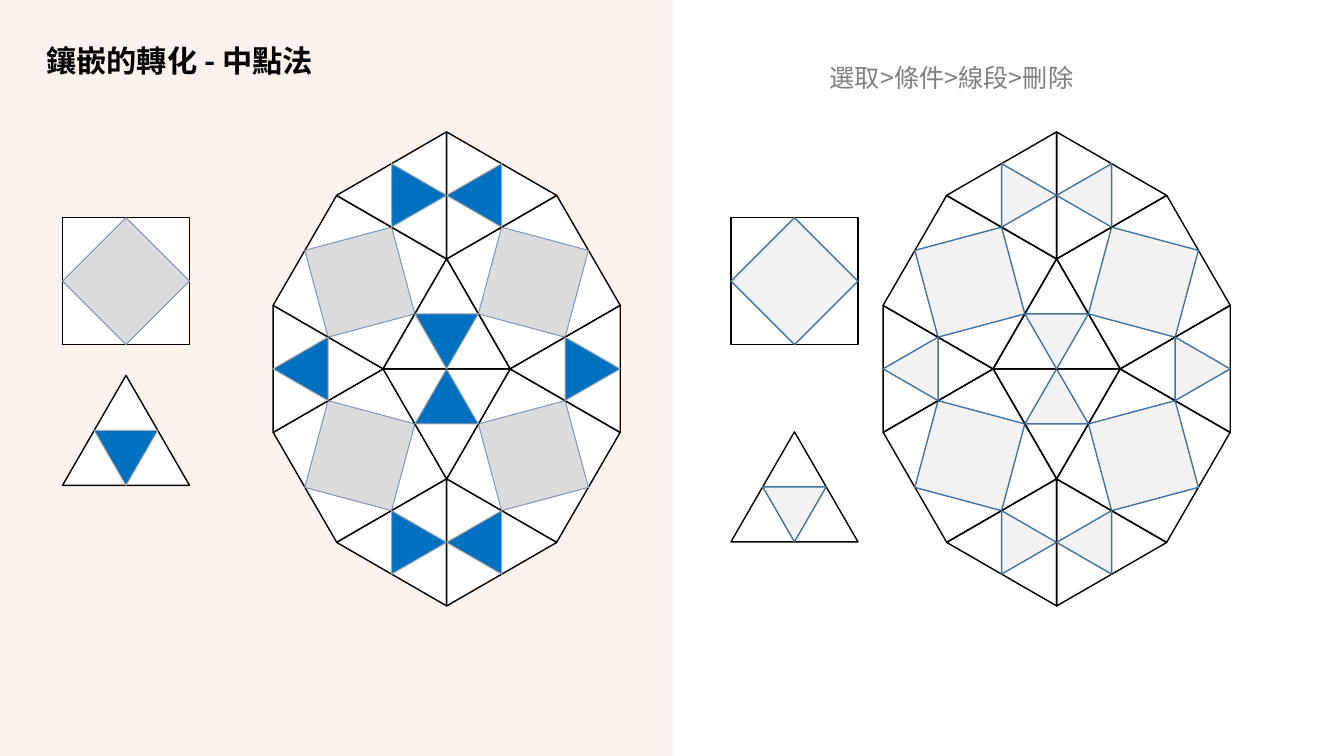
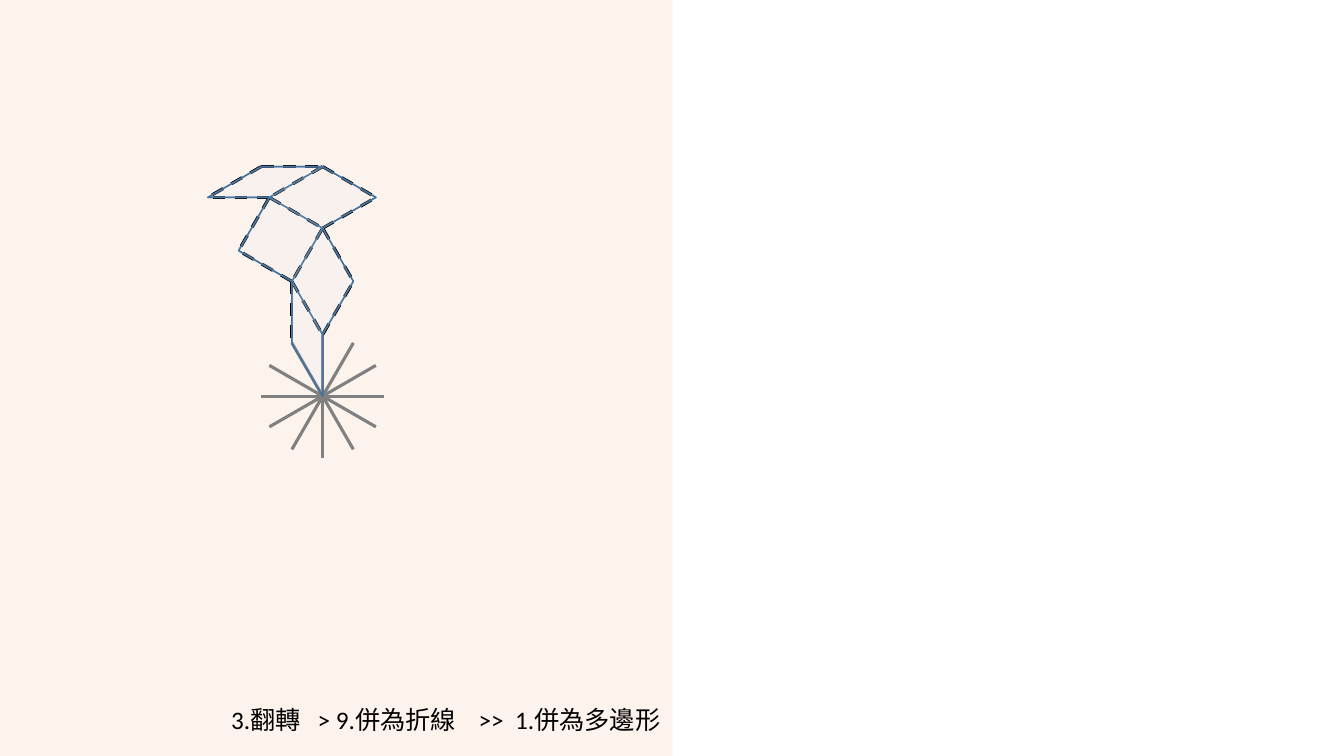
import math
from itertools import product

from lxml import etree
from pptx import Presentation
from pptx import util as u
from pptx.dml.color import RGBColor
from pptx.enum import dml, shapes, text
from pptx.oxml.ns import qn


class Theme:
    band = "F4B183"
    divider = "FBE5D6"
    black = "000000"
    white = "FFFFFF"
    gray = "808080"
    pale = "EEEEEE"
    steel = "43739E"
    cjk = "Noto Sans CJK SC"
    latin = "Calibri"
    title_size = 21.6
    label_size = 18
    colored = {
        "tile": white,
        "square": ("DBDBDB", "8497B0", 0.75),
        "triangle": ("0070C0", "A6A6A6", 0.75),
    }
    plain = {
        "tile": None,
        "square": ("F2F2F2", steel, 1),
        "triangle": ("F2F2F2", steel, 1),
    }


def write(slide, pieces, box, kind=shapes.MSO_SHAPE.ROUNDED_RECTANGLE, size=Theme.label_size,
          font=Theme.cjk, color=Theme.black, bold=False, fill=None,
          align=text.PP_ALIGN.LEFT, line_spacing=None):
    label = slide.shapes.add_shape(kind, *map(u.Inches, box))
    label.shadow.inherit = False
    label.line.fill.background()
    if fill:
        label.fill.solid()
        label.fill.fore_color.rgb = RGBColor.from_string(fill)
    else:
        label.fill.background()
    frame = label.text_frame
    frame.word_wrap = True
    frame.vertical_anchor = text.MSO_ANCHOR.MIDDLE
    paragraph = frame.paragraphs[0]
    paragraph.alignment = align
    paragraph.line_spacing = line_spacing
    for words, extra_gap in pieces:
        run = paragraph.add_run()
        run.text = words
        run.font.size = u.Pt(size)
        run.font.bold = bold
        run.font.color.rgb = RGBColor.from_string(color)
        run.font.name = font
        properties = run._r.get_or_add_rPr()
        etree.SubElement(properties, qn("a:ea")).set("typeface", Theme.cjk)
        if extra_gap:
            properties.set("spc", str(round(extra_gap * 100)))


def draw_polygon(container, points, fill, line, width):
    corners = [(u.Inches(x), u.Inches(y)) for x, y in points]
    builder = container.build_freeform(*corners[0])
    builder.add_line_segments(corners[1:], close=True)
    polygon = builder.convert_to_shape()
    polygon.shadow.inherit = False
    polygon.fill.solid()
    polygon.fill.fore_color.rgb = RGBColor.from_string(fill)
    polygon.line.color.rgb = RGBColor.from_string(line)
    polygon.line.width = u.Pt(width)
    return polygon


prs = Presentation()
prs.slide_width = u.Inches(13.33)
prs.slide_height = u.Inches(7.5)
blank = prs.slide_layouts[6]
for placeholder in list(blank.placeholders):
    placeholder.element.getparent().remove(placeholder.element)
midpoints = prs.slides.add_slide(blank)
folding = prs.slides.add_slide(blank)
faded = []

band = midpoints.shapes.add_shape(shapes.MSO_SHAPE.RECTANGLE, 0, 0, u.Inches(6.67), u.Inches(7.5))
band.shadow.inherit = False
band.fill.solid()
band.fill.fore_color.rgb = RGBColor.from_string(Theme.band)
band.line.fill.background()
faded.append((band, 14))

write(midpoints, [("鑲嵌的轉化 - 中點法", 0)], (0.36, 0.4, 5.95, 0.44),
      kind=shapes.MSO_SHAPE.RECTANGLE, size=Theme.title_size, bold=True, line_spacing=0.9)

side = 1.26
height = side * math.sqrt(3) / 2
square_offset = side / 4 + height / 2
mosaic = []
for sx, sy in product((-1, 1), repeat=2):
    mosaic.append(("square", sx * square_offset, sy * square_offset, -60 * sx * sy))
for sx, sy in product((-1, 1), repeat=2):
    tilt = -30 * sx if sy < 0 else 180 + 30 * sx
    if sy > 0:
        tilt = 180 + 30 * -sx * -1
    mosaic.append(("triangle", sx * height / 4, sy * (height + side * 5 / 8), tilt))
for sx in (-1, 1):
    mosaic.append(("triangle", sx * (side / 2 + height * 3 / 4), side / 8, 180 - 30 * sx))
mosaic += [("triangle", 0, height / 2, 180), ("triangle", 0, -height / 2, 0)]

tiles = []
for center_x, legend_x, triangle_y, palette in (
    (4.43, 1.25, 4.27, Theme.colored),
    (10.48, 7.88, 4.83, Theme.plain),
):
    for kind, y in (("square", 2.79), ("triangle", triangle_y)):
        tiles.append((midpoints.shapes.add_group_shape().shapes, kind, legend_x, y, 0, palette))
    for kind, dx, dy, angle in mosaic:
        tiles.append((midpoints.shapes, kind, center_x + dx, 3.66 + dy, angle, palette))

presets = {
    "square": (shapes.MSO_SHAPE.RECTANGLE, side, ((-1, -1), (1, -1), (1, 1), (-1, 1))),
    "triangle": (shapes.MSO_SHAPE.ISOSCELES_TRIANGLE, height, ((0, -1), (1, 1), (-1, 1))),
}
for container, kind, x, y, angle, palette in tiles:
    preset, tall, corners = presets[kind]
    tile = container.add_shape(preset, u.Inches(x - side / 2), u.Inches(y - tall / 2),
                               u.Inches(side), u.Inches(tall))
    tile.rotation = angle % 360
    tile.shadow.inherit = False
    if palette["tile"]:
        tile.fill.solid()
        tile.fill.fore_color.rgb = RGBColor.from_string(palette["tile"])
    else:
        tile.fill.background()
    tile.line.color.rgb = RGBColor.from_string(Theme.black)
    tile.line.width = u.Pt(1)
    cos, sin = math.cos(math.radians(angle)), math.sin(math.radians(angle))
    inner = []
    for (ax, ay), (bx, by) in zip(corners, corners[1:] + corners[:1]):
        mx, my = (ax + bx) * side / 4, (ay + by) * tall / 4
        inner.append((x + mx * cos - my * sin, y + mx * sin + my * cos))
    draw_polygon(container, inner, *palette[kind])

write(midpoints, [("選取>條件>線段>刪除", 0)], (8.11, 0.54, 2.81, 0.45),
      color=Theme.gray, fill=Theme.white)

edge = 0.61
hub = (3.2, 3.93)
steps = {
    angle: (edge * math.cos(math.radians(angle)), -edge * math.sin(math.radians(angle)))
    for angle in range(0, 360, 30)
}
strokes = [(midpoints, (6.67, 7.5), (6.67, 0), Theme.divider, 0.25, None)]
for dx, dy in steps.values():
    strokes.append((folding, hub, (hub[0] + dx, hub[1] + dy), Theme.gray, 2.25, None))

rhombi = []
drawn_edges = set()
origin = hub
for first, second, advance in ((90, 120, 90), (60, 120, 120), (60, 150, 60),
                               (30, 150, 150), (30, 180, 0)):
    (ax, ay), (bx, by) = steps[first], steps[second]
    x, y = origin
    right, left, tip = (x + ax, y + ay), (x + bx, y + by), (x + ax + bx, y + ay + by)
    rhombi.append((origin, right, tip, left))
    for start, end in product((origin, tip), (right, left)):
        key = frozenset((round(px, 2), round(py, 2)) for px, py in (start, end))
        if start != hub and key not in drawn_edges:
            strokes.append((folding, start, end, Theme.black, 2.25, dml.MSO_LINE.DASH))
        drawn_edges.add(key)
    origin = (x + steps[advance][0], y + steps[advance][1])

outline = [hub]
for heading in (90, 60, 120, 30, 150, 180, 210, 0, 240, 330, 270):
    x, y = outline[-1]
    outline.append((x + steps[heading][0], y + steps[heading][1]))

for slide, start, end, color, width, dash in strokes:
    stroke = slide.shapes.add_connector(shapes.MSO_CONNECTOR.STRAIGHT,
                                        *map(u.Inches, start + end))
    stroke.line.color.rgb = RGBColor.from_string(color)
    stroke.line.width = u.Pt(width)
    if dash:
        stroke.line.dash_style = dash
    etree.SubElement(stroke.element.spPr, qn("a:effectLst"))
    if slide is midpoints:
        divider = stroke
faded.append((divider, 50))

folded = folding.shapes.add_group_shape().shapes
for container, points in [(folded, rhombus) for rhombus in rhombi] + [(folding.shapes, outline)]:
    faded.append((draw_polygon(container, points, Theme.pale, Theme.steel, 1), 10))

write(folding, [("3.翻轉", 0), (" ", 8.1), ("> 9.併為折線", 0), (" ", 12.2),
                (">>", 0), (" ", 4.1), ("1.併為多邊形", 0)],
      (2.16, 6.91, 4.51, 0.45), font=Theme.latin, align=text.PP_ALIGN.RIGHT)

for part, percent in faded:
    color = next(part.element.spPr.iter(qn("a:srgbClr")))
    etree.SubElement(color, qn("a:alpha")).set("val", str(percent * 1000))

for shared in (band, divider):
    blank.shapes.element.append(shared.element)

prs.save("out.pptx")
